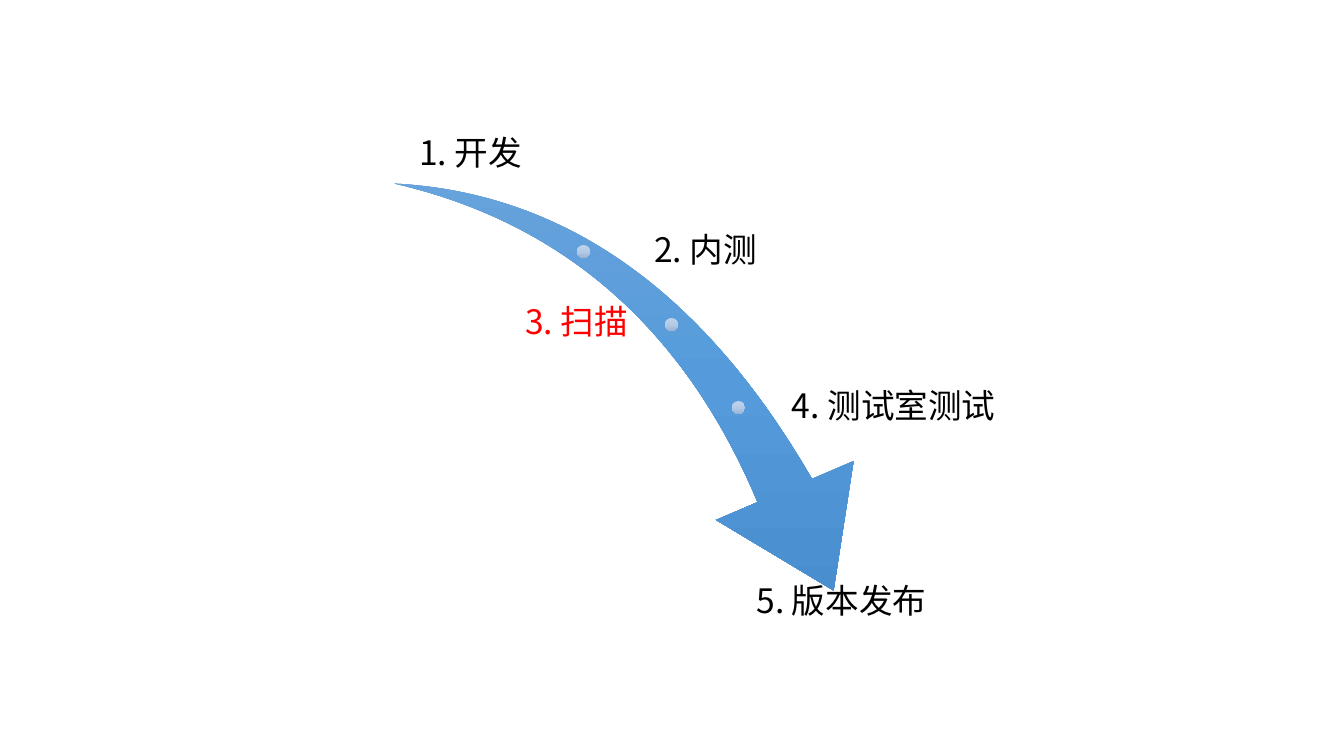
from lxml.etree import SubElement
from pptx import Presentation
from pptx.dml.color import RGBColor
from pptx.enum.shapes import MSO_SHAPE as Form
from pptx.enum.text import MSO_ANCHOR as Anchor, PP_ALIGN as Align
from pptx.oxml.ns import qn
from pptx.util import Emu, Pt

FONT = "Noto Sans CJK JP"
BLUE = ["71A6DB", "559BDB", "448ACA"]
PALE = ["C0D2EB", "B3CBE9", "9BB4D3"]
DOT = 13
ROW = 96
DOTS = [(577, 245), (665, 318), (732, 401)]
STEPS = [
    ("1. 开发", 349, 80, 243, Anchor.BOTTOM, Align.CENTER, "000000"),
    ("2. 内测", 651, 204, 355, Anchor.MIDDLE, Align.LEFT, "000000"),
    ("3. 扫描", 349, 276, 282, Anchor.MIDDLE, Align.RIGHT, "FF0000"),
    ("4. 测试室测试", 789, 360, 217, Anchor.MIDDLE, Align.LEFT, "000000"),
    ("5. 版本发布", 677, 581, 329, Anchor.TOP, Align.CENTER, "000000"),
]


def px(*vals):
    return [Emu(round(val * 914400 / 100.8)) for val in vals]


def color(code):
    return RGBColor.from_string(code)


def shade(shape, codes):
    shape.fill.gradient()
    shape.fill.gradient_angle = 270
    grad = shape.fill._xPr.find(qn("a:gradFill"))
    grad.set("rotWithShape", "0")
    stops = grad.find(qn("a:gsLst"))
    for stop in list(stops):
        stops.remove(stop)
    for index, code in enumerate(codes):
        stop = SubElement(stops, qn("a:gs"), pos=str(index * 50000))
        SubElement(stop, qn("a:srgbClr"), val=code)


def add_form(group, form, box, codes):
    shape = group.shapes.add_shape(form, *px(*box))
    shape.shadow.inherit = False
    shape.line.fill.background()
    shade(shape, codes)
    return shape


def add_arrow(group):
    arrow = add_form(group, Form.SWOOSH_ARROW, (383, 199, 516, 360), BLUE)
    arrow.rotation = 73.3
    arrow.adjustments[0] = 0.163
    arrow.adjustments[1] = 0.314


def add_step(group, text, left, top, width, anchor, align, code):
    frame = group.shapes.add_textbox(*px(left, top, width, ROW)).text_frame
    frame.word_wrap = True
    frame.vertical_anchor = anchor
    inset, = px(3)
    frame.margin_left = frame.margin_right = inset
    frame.margin_top = frame.margin_bottom = inset
    frame.text = text
    para = frame.paragraphs[0]
    para.alignment = align
    para.line_spacing = 0.9
    para.space_after = Pt(8.4)
    font = para.runs[0].font
    font.size = Pt(24)
    font.name = FONT
    font.color.rgb = color(code)
    SubElement(font._element, qn("a:ea"), typeface=FONT)


def main():
    deck = Presentation()
    deck.slide_width, deck.slide_height = px(1344, 756)
    slide = deck.slides.add_slide(deck.slide_layouts[6])
    group = slide.shapes.add_group_shape()
    add_arrow(group)
    for left, top in DOTS:
        add_form(group, Form.OVAL, (left, top, DOT, DOT), PALE)
    for step in STEPS:
        add_step(group, *step)
    deck.save("out.pptx")


main()
